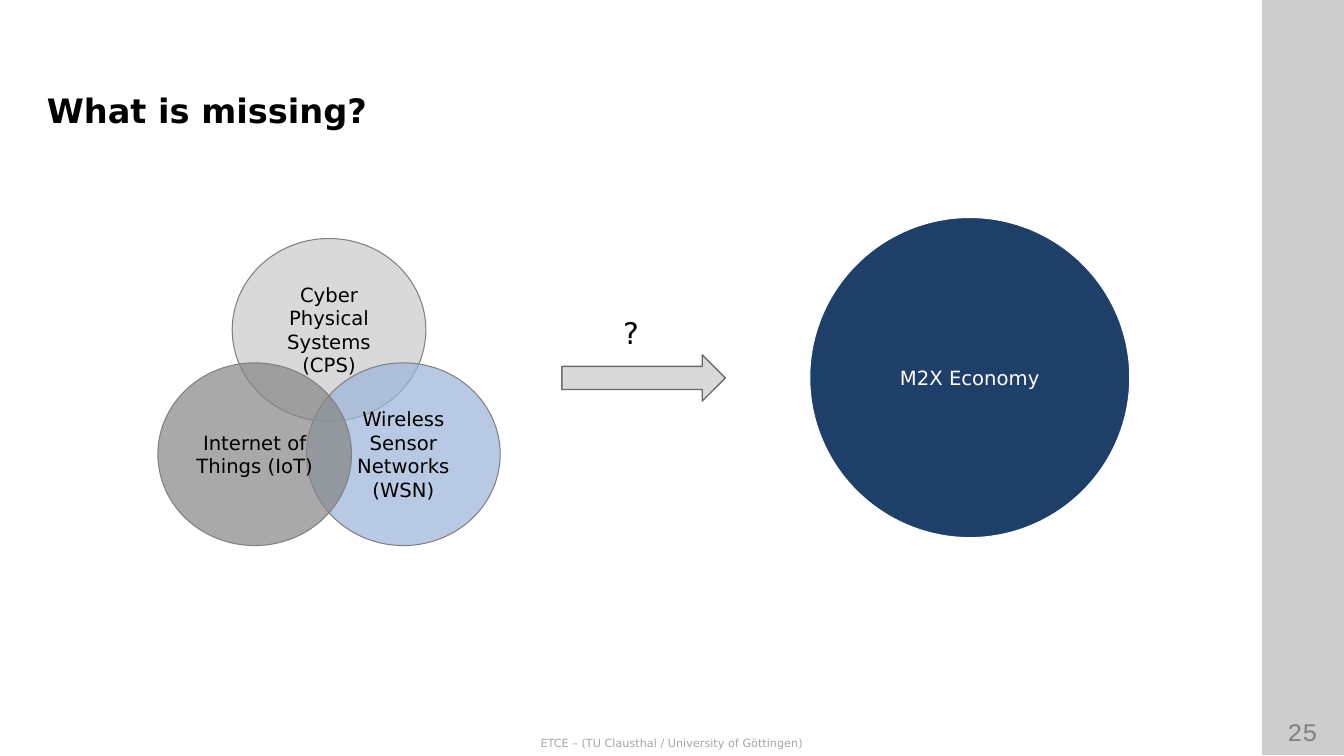
from lxml.etree import SubElement
from pptx import Presentation
from pptx.dml.color import RGBColor
from pptx.enum.shapes import MSO_SHAPE
from pptx.enum.text import MSO_ANCHOR, PP_ALIGN
from pptx.oxml.ns import qn
from pptx.util import Inches, Pt

WIDTH, HEIGHT = Inches(13.33), Inches(7.5)
COLUMNS, ROWS = 160, 90
FONT = "DejaVu Sans"
COLORS = {
    "black": "000000",
    "white": "FFFFFF",
    "number": "808080",
    "footer": "A6A6A6",
    "outline": "808080",
    "arrow line": "6A6A6A",
    "light gray": "D9D9D9",
    "dark gray": "868686",
    "light blue": "9CB4D8",
    "navy": "1E3F68",
}


def color(name):
    return RGBColor.from_string(COLORS[name])


def place(column, row, columns, rows):
    """Turn grid units into left, top, width and height."""
    return (round(column * WIDTH / COLUMNS), round(row * HEIGHT / ROWS),
            round(columns * WIDTH / COLUMNS), round(rows * HEIGHT / ROWS))


def write(shape, text, size, ink, font=FONT, bold=False,
          align=PP_ALIGN.CENTER, anchor=MSO_ANCHOR.TOP):
    frame = shape.text_frame
    frame.word_wrap = True
    frame.vertical_anchor = anchor
    paragraph = frame.paragraphs[0]
    paragraph.alignment = align
    run = paragraph.add_run()
    run.text = text
    run.font.name = font
    run.font.size = Pt(size)
    run.font.bold = bold
    run.font.color.rgb = color(ink)


def add_text(slide, area, text, size, ink, **style):
    write(slide.shapes.add_textbox(*place(*area)), text, size, ink, **style)


def add_figure(slide, kind, area, fill, line=None, line_width=0.75, opacity=100):
    shape = slide.shapes.add_shape(kind, *place(*area))
    shape.shadow.inherit = False
    shape.fill.solid()
    shape.fill.fore_color.rgb = color(fill)
    if opacity < 100:
        fill_color = shape.fill._xPr.find(qn("a:solidFill"))[0]
        SubElement(fill_color, qn("a:alpha"), val=str(opacity * 1000))
    if line:
        shape.line.color.rgb = color(line)
        shape.line.width = Pt(line_width)
    else:
        shape.line.fill.background()
    return shape


def add_circle(slide, area, text, fill, ink="black", line="outline", opacity=100):
    circle = add_figure(slide, MSO_SHAPE.OVAL, area, fill, line, opacity=opacity)
    write(circle, text, 14, ink, anchor=MSO_ANCHOR.MIDDLE)


def add_frame(slide):
    # Two translucent layers make up the side bar
    for _ in range(2):
        add_figure(slide, MSO_SHAPE.RECTANGLE, (150.24, 0, 9.76, 89.9),
                   "black", opacity=10)
    add_text(slide, (150.1, 84.7, 9.9, 4.8), "25", 18, "number", font="Courier New")
    add_text(slide, (0, 87.1, 160, 2.8),
             "ETCE – (TU Clausthal / University of Göttingen)", 8, "footer")
    add_text(slide, (4.4, 10.1, 141, 6.5), "What is missing?", 24, "black",
             bold=True, align=PP_ALIGN.LEFT)


def add_venn(slide):
    left, top, width, height = 27.65, 28.4, 23.05, 21.75
    shift, drop = 8.85, 14.8
    topics = [
        ("Cyber Physical Systems (CPS)", 0, 0, "light gray", 100),
        ("Wireless Sensor Networks (WSN)", 1, 1, "light blue", 71),
        ("Internet of Things (IoT)", -1, 1, "dark gray", 71),
    ]
    for text, side, level, fill, opacity in topics:
        area = (left + side * shift, top + level * drop, width, height)
        add_circle(slide, area, text, fill, opacity=opacity)


def main():
    presentation = Presentation()
    presentation.slide_width, presentation.slide_height = WIDTH, HEIGHT
    slide = presentation.slides.add_slide(presentation.slide_layouts[6])

    add_frame(slide)
    add_venn(slide)

    # Open question between today's fields and the economy
    add_figure(slide, MSO_SHAPE.RIGHT_ARROW, (66.9, 42.25, 19.45, 5.5),
               "light gray", "arrow line", 1)
    add_text(slide, (73, 36.85, 4.55, 5.4), "?", 21.3, "black", align=PP_ALIGN.LEFT)
    add_circle(slide, (96.4, 25.9, 38.1, 38.1), "M2X Economy", "navy",
               ink="white", line="white")

    presentation.save("out.pptx")


if __name__ == "__main__":
    main()
